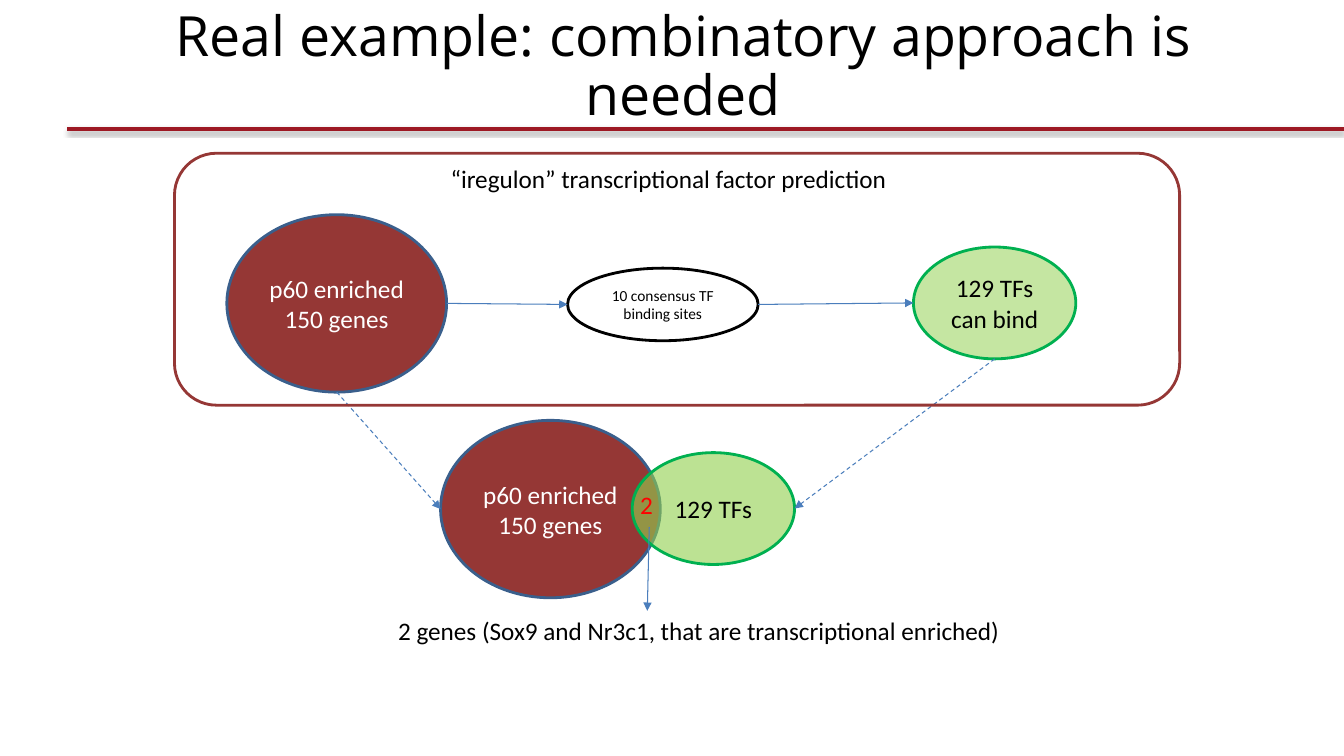
from lxml.etree import SubElement
from pptx import Presentation
from pptx.dml.color import RGBColor
from pptx.enum.dml import MSO_LINE
from pptx.enum.shapes import MSO_CONNECTOR, MSO_SHAPE
from pptx.enum.text import MSO_ANCHOR, MSO_AUTO_SIZE, PP_ALIGN
from pptx.oxml.ns import qn
from pptx.util import Inches, Pt

WIDTH, HEIGHT = Inches(13.33), Inches(7.5)
COLUMN, ROW = WIDTH / 100, HEIGHT / 100

GENES_SIZE = (16.35, 23.47)
FACTORS_SIZE = (12.08, 14.8)
CAPTION_HEIGHT = 5.33
WINE, BLUE, GREEN, LIME = "953735", "3A5F8C", "00B050", "92D050"
ARROW_BLUE = "4B7EBC"


def color(hex_value):
    return RGBColor.from_string(hex_value)


def grid(*values):
    return [round(value * (ROW if index % 2 else COLUMN)) for index, value in enumerate(values)]


def write(shape, text, size=18, font="Calibri", ink="000000", align=PP_ALIGN.CENTER,
          anchor=MSO_ANCHOR.MIDDLE, wrap=True, spacing=None, fit=MSO_AUTO_SIZE.NONE):
    frame = shape.text_frame
    frame.text = text
    frame.word_wrap = wrap
    frame.auto_size = fit
    frame.vertical_anchor = anchor
    paragraph = frame.paragraphs[0]
    paragraph.alignment = align
    paragraph.line_spacing = spacing
    paragraph.font.size = Pt(size)
    paragraph.font.name = font
    paragraph.font.color.rgb = color(ink)


def add_outline(slide, kind, box, line, fill=None, opacity=100):
    shape = slide.shapes.add_shape(kind, *grid(*box))
    shape.shadow.inherit = False
    shape.line.color.rgb = color(line)
    shape.line.width = Pt(2)
    if fill is None:
        shape.fill.background()
        return shape
    shape.fill.solid()
    shape.fill.fore_color.rgb = color(fill)
    if opacity < 100:
        fill_color = shape.fill._xPr.find(qn("a:solidFill"))[0]
        SubElement(fill_color, qn("a:alpha"), val=str(opacity * 1000))
    return shape


def add_ellipse(slide, text, box, line, fill, opacity=100, **text_format):
    shape = add_outline(slide, MSO_SHAPE.OVAL, box, line, fill, opacity)
    write(shape, text, **text_format)
    return shape


def add_genes(slide, left, top):
    return add_ellipse(slide, "p60 enriched 150 genes", (left, top, *GENES_SIZE),
                       BLUE, WINE, ink="FFFFFF")


def add_factors(slide, text, left, top, opacity):
    return add_ellipse(slide, text, (left, top, *FACTORS_SIZE), GREEN, LIME, opacity)


def add_caption(slide, text, left, top, width, ink="000000"):
    caption = slide.shapes.add_textbox(*grid(left, top, width, CAPTION_HEIGHT))
    write(caption, text, ink=ink, align=PP_ALIGN.LEFT, anchor=MSO_ANCHOR.TOP,
          wrap=False, fit=MSO_AUTO_SIZE.SHAPE_TO_FIT_TEXT)


def add_line(slide, start, end, ink, width):
    connector = slide.shapes.add_connector(MSO_CONNECTOR.STRAIGHT, *start, *end)
    connector.line.color.rgb = color(ink)
    connector.line.width = Pt(width)
    effects = SubElement(connector._element.spPr, qn("a:effectLst"))
    return connector, effects


def add_arrow(slide, start, end, dashed=False):
    connector, _ = add_line(slide, start, end, ARROW_BLUE, 0.75)
    if dashed:
        connector.line.dash_style = MSO_LINE.DASH
    SubElement(connector.line._get_or_add_ln(), qn("a:tailEnd"), type="triangle")


def add_title_rule(slide):
    _, effects = add_line(slide, grid(5, 17.07), grid(100, 17.07), "9D1924", 3)
    shadow = SubElement(effects, qn("a:outerShdw"), blurRad=str(Pt(3.1)), dist=str(Pt(1.6)),
                        dir="5400000", rotWithShape="0")
    shadow_color = SubElement(shadow, qn("a:srgbClr"), val="000000")
    SubElement(shadow_color, qn("a:alpha"), val="38000")


def side(shape, across, down):
    return round(shape.left + shape.width * across), round(shape.top + shape.height * down)


def left_of(shape):
    return side(shape, 0, 0.5)


def right_of(shape):
    return side(shape, 1, 0.5)


def bottom_of(shape):
    return side(shape, 0.5, 1)


def main():
    presentation = Presentation()
    presentation.slide_width, presentation.slide_height = WIDTH, HEIGHT
    slide = presentation.slides.add_slide(presentation.slide_layouts[5])

    add_title_rule(slide)
    title = slide.shapes.title
    title.left, title.top, title.width, title.height = grid(6.75, 2.8, 88.2, 12.4)
    write(title, "Real example: combinatory approach is needed",
          size=39.6, font="Open Sans", spacing=0.9)

    genes = add_genes(slide, 16.88, 28.4)
    factors = add_factors(slide, "129 TFs can bind", 67.97, 32.67, 53)
    sites = add_ellipse(slide, "10 consensus TF binding sites", (42.23, 35.47, 14.18, 9.6),
                        "000000", "FFFFFF", size=11)
    add_arrow(slide, right_of(genes), left_of(sites))
    add_arrow(slide, right_of(sites), left_of(factors))

    shared_genes = add_genes(slide, 32.78, 55.6)
    shared_factors = add_factors(slide, "129 TFs", 47.04, 59.87, 61)
    add_arrow(slide, grid(48.31, 69.73), grid(48.16, 80.8))
    add_caption(slide, "2 genes (Sox9 and Nr3c1, that are transcriptional enriched)",
                28.88, 80.8, 47.26)
    add_arrow(slide, bottom_of(genes), left_of(shared_genes), dashed=True)
    add_arrow(slide, bottom_of(factors), right_of(shared_factors), dashed=True)

    add_outline(slide, MSO_SHAPE.ROUNDED_RECTANGLE, (12.98, 20.27, 74.79, 33.33), WINE)
    add_caption(slide, "“iregulon” transcriptional factor prediction", 32.78, 20.93, 34.28)
    add_caption(slide, "2", 46.89, 64, 2.48, ink="FF0000")

    presentation.save("out.pptx")


if __name__ == "__main__":
    main()
